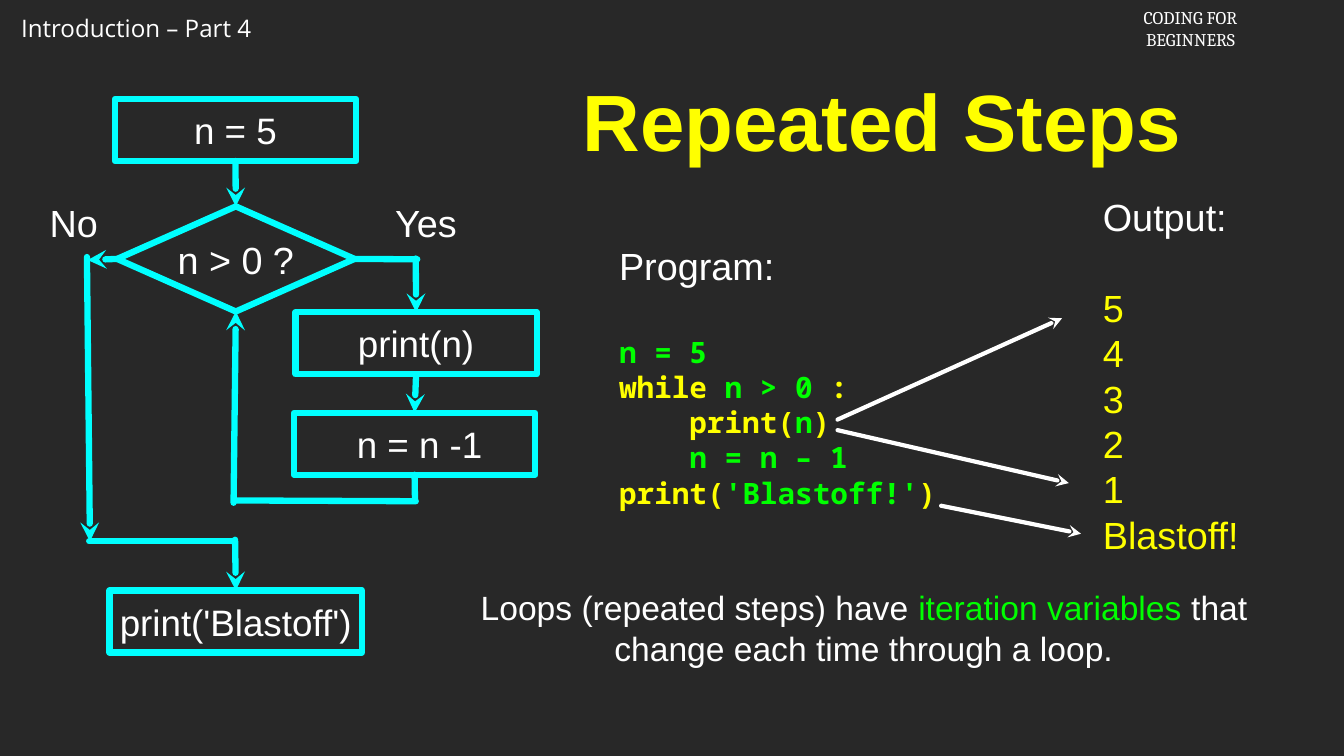
import pptx
import pptx.util
import pptx.dml.color
import pptx.enum.shapes
import pptx.enum.text
import pptx.oxml.ns
from lxml import etree

Inches, Pt = pptx.util.Inches, pptx.util.Pt
SHAPE = pptx.enum.shapes.MSO_SHAPE
ALIGN = pptx.enum.text.PP_ALIGN
ANCHOR = pptx.enum.text.MSO_ANCHOR
qn = pptx.oxml.ns.qn

COLORS = {"back": "282828", "white": "FFFFFF", "yellow": "FFFF00",
          "green": "00FF00", "cyan": "00FFFF"}
TOP, LEFT, BOTTOM, RIGHT = range(4)
LEADING = 1.2  # line pitch as a multiple of the text size


def color(name):
    return pptx.dml.color.RGBColor.from_string(COLORS[name])


def set_frame(frame, margin=0, wrap=True, anchor=ANCHOR.MIDDLE):
    frame.word_wrap = wrap
    frame.vertical_anchor = anchor
    frame.margin_left = frame.margin_right = Inches(margin)
    frame.margin_top = frame.margin_bottom = Inches(margin)


def write(para, spans, size, font="Arial", align=ALIGN.LEFT, bold=False):
    """Add (text, colour) spans to a paragraph."""
    para.alignment = align
    for text, name in spans:
        span = para.add_run()
        span.text = text
        span.font.size, span.font.name, span.font.bold = Pt(size), font, bold
        span.font.color.rgb = color(name)


def next_para(frame):
    first = frame.paragraphs[0]
    return frame.add_paragraph() if first.runs else first


def add_text(page, box, **options):
    frame = page.shapes.add_textbox(*map(Inches, box)).text_frame
    set_frame(frame, **options)
    return frame


def add_node(page, kind, box, text, size=35):
    node = page.shapes.add_shape(kind, *map(Inches, box))
    node.shadow.inherit = False
    node.fill.background()
    node.line.color.rgb = color("cyan")
    node.line.width = Pt(6)
    set_frame(node.text_frame)
    write(node.text_frame.paragraphs[0], [(text, "white")], size, align=ALIGN.CENTER)
    return node


def add_line(page, start, end, name, width, arrow=True):
    """Draw from start to end; each is a point or a (shape, side) pair."""
    joins = [isinstance(place[0], pptx.shapes.autoshape.Shape) for place in (start, end)]
    points = [(0, 0) if join else place for join, place in zip(joins, (start, end))]
    line = page.shapes.add_connector(pptx.enum.shapes.MSO_CONNECTOR.STRAIGHT,
                                     *[Inches(value) for point in points for value in point])
    if joins[0]:
        line.begin_connect(*start)
    if joins[1]:
        line.end_connect(*end)
    line.line.color.rgb = color(name)
    line.line.width = Pt(width)
    outline = line.line._get_or_add_ln()
    outline.set("cap", "rnd")
    etree.SubElement(outline, qn("a:round"))
    if arrow:
        etree.SubElement(outline, qn("a:tailEnd"), type="stealth")
    etree.SubElement(line._element.spPr, qn("a:effectLst"))


def add_header(page, left, top):
    part = add_text(page, (left, top + 0.08, 3.41, 0.49), margin=0.1, wrap=False)
    write(part.paragraphs[0], [("Introduction – Part 4", "white")], 23, "Open Sans")
    course = add_text(page, (left + 14.7, top, 1.74, 0.67), margin=0.05, wrap=False)
    for text in ("CODING FOR", "BEGINNERS"):
        write(next_para(course), [(text, "white")], 17, "Cambria", ALIGN.CENTER)


def add_title(page, box):
    title = page.shapes.title
    title.left, title.top, title.width, title.height = map(Inches, box)
    set_frame(title.text_frame, margin=0.04)
    write(title.text_frame.paragraphs[0], [("Repeated Steps", "yellow")], 76,
          align=ALIGN.CENTER, bold=True)


def add_flowchart(page, left, top):
    def at(x, y):
        return left + x, top + y

    def node(x, y, text, width=3.19):
        return add_node(page, SHAPE.RECTANGLE, (*at(x, y), width, 0.82), text)

    # Steps and the test
    start = node(0.94, 0, "n = 5")
    test = add_node(page, SHAPE.DIAMOND, (*at(0.97, 1.42), 3.14, 1.39), "n > 0 ?", 36)
    show = node(3.33, 2.82, "print(n)")
    count = node(3.31, 4.15, " n = n -1")
    finish = node(0.87, 6.5, "print('Blastoff')", 3.34)

    # Branch labels
    for x, width, text in ((0, 0.79, "No"), (4.51, 1.09, "Yes")):
        label = add_text(page, (*at(x, 1.29), width, 0.68))
        write(label.paragraphs[0], [(text, "white")], 36, align=ALIGN.CENTER)

    # Flow lines: start, end, arrow
    for begin, end, arrow in (
        ((start, BOTTOM), (test, TOP), True),
        # Yes branch, looping back to the test
        ((test, RIGHT), at(4.94, 2.12), False),
        (at(4.92, 2.11), (show, TOP), True),
        ((show, BOTTOM), (count, TOP), True),
        ((count, BOTTOM), at(4.91, 5.3), False),
        (at(4.92, 5.32), at(2.53, 5.31), False),
        (at(2.51, 5.34), (test, BOTTOM), True),
        # No branch, down to the last step
        ((test, LEFT), at(0.58, 2.13), True),
        (at(0.57, 2.09), at(0.61, 5.85), True),
        (at(0.6, 5.85), at(2.51, 5.85), False),
        (at(2.53, 5.83), (finish, TOP), True),
    ):
        add_line(page, begin, end, "cyan", 6, arrow)


def add_heading(frame, text):
    para = next_para(frame)
    write(para, [(text, "white")], 36)
    para.line_spacing = para.space_after = Pt(36 * LEADING)


def add_program(page, box):
    frame = add_text(page, box)
    add_heading(frame, "Program:")
    code = (
        (0, [("n = 5", "green")]),
        (0, [("while", "yellow"), (" n > 0", "green"), (" :", "yellow")]),
        (1, [("print(", "yellow"), ("n", "green"), (")", "yellow")]),
        (1, [("n = n – 1", "green")]),
        (0, [("print(", "yellow"), ("'Blastoff!'", "green"), (")", "yellow")]),
    )
    for depth, spans in code:
        para = next_para(frame)
        write(para, spans, 28, "Noto Sans Mono", bold=True)
        para.line_spacing = Pt(28 * LEADING)
        properties = para._p.get_or_add_pPr()
        properties.set("marL", str(Inches(0.93 * depth)))
        properties.set("indent", "0")


def add_output(page, box):
    frame = add_text(page, box)
    add_heading(frame, "Output:")
    for text in ("5", "4", "3", "2", "1", "Blastoff!"):
        para = next_para(frame)
        write(para, [(text, "yellow")], 36)
        para.line_spacing = Pt(36 * LEADING)


def add_output_arrows(page, left, top):
    for start, end in (((0, 1.34), (2.97, 0)),
                       ((0, 1.48), (3.06, 2.18)),
                       ((1.37, 2.48), (3.22, 2.85))):
        add_line(page, (left + start[0], top + start[1]),
                 (left + end[0], top + end[1]), "white", 4)


def add_summary(page, box):
    para = add_text(page, box).paragraphs[0]
    write(para, [("Loops (repeated steps) have ", "white"),
                 ("iteration variables ", "green"),
                 ("that change each time through a loop.", "white")],
          32, align=ALIGN.CENTER)
    para.line_spacing = Pt(32 * LEADING)


def main():
    deck = pptx.Presentation()
    deck.slide_width, deck.slide_height = Inches(17.78), Inches(10)
    page = deck.slides.add_slide(deck.slide_layouts[5])
    page.background.fill.solid()
    page.background.fill.fore_color.rgb = color("back")

    add_header(page, 0.18, 0.04)
    add_title(page, (6.44, 0.84, 10.45, 1.49))
    add_flowchart(page, 0.58, 1.31)
    add_program(page, (8.19, 2.86, 4.26, 4.24))
    add_output(page, (14.59, 2.63, 2.18, 4.67))
    add_output_arrows(page, 11.08, 4.21)
    add_summary(page, (5.64, 7.65, 11.58, 1.3))
    deck.save("out.pptx")


if __name__ == "__main__":
    main()
